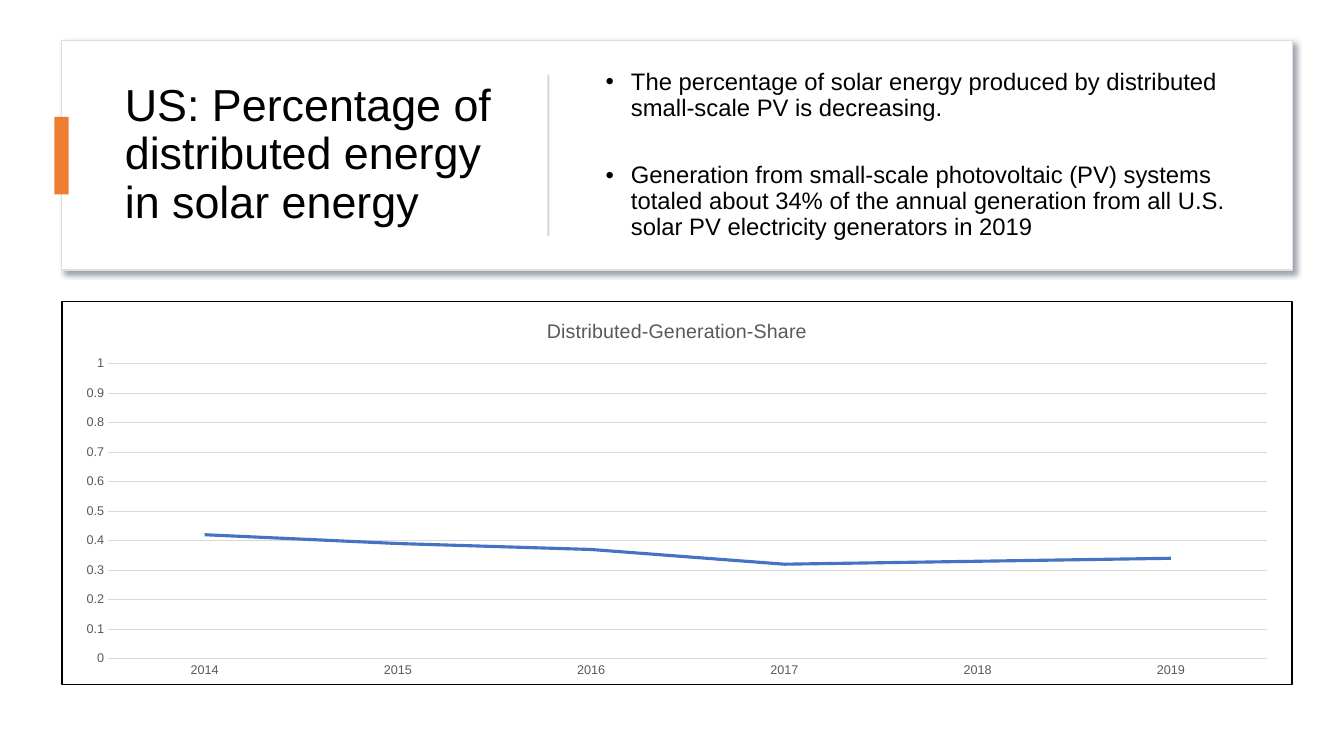
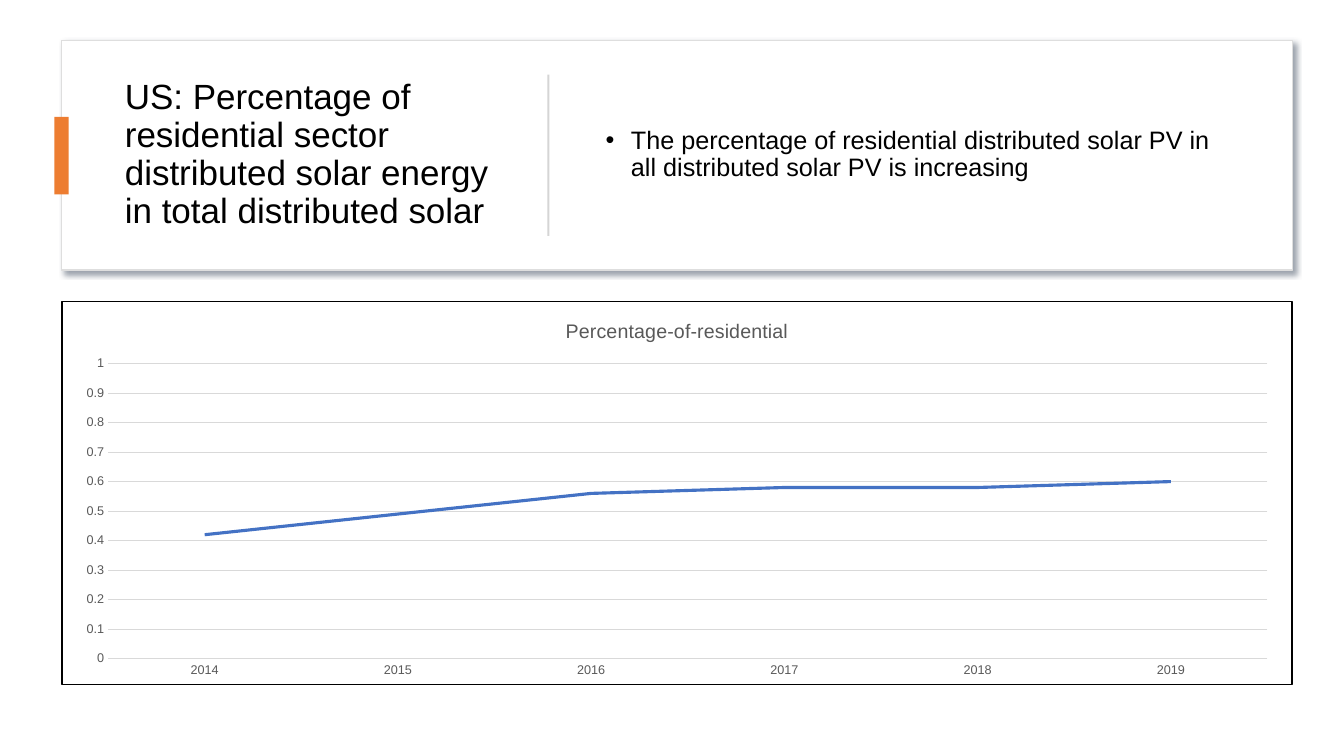
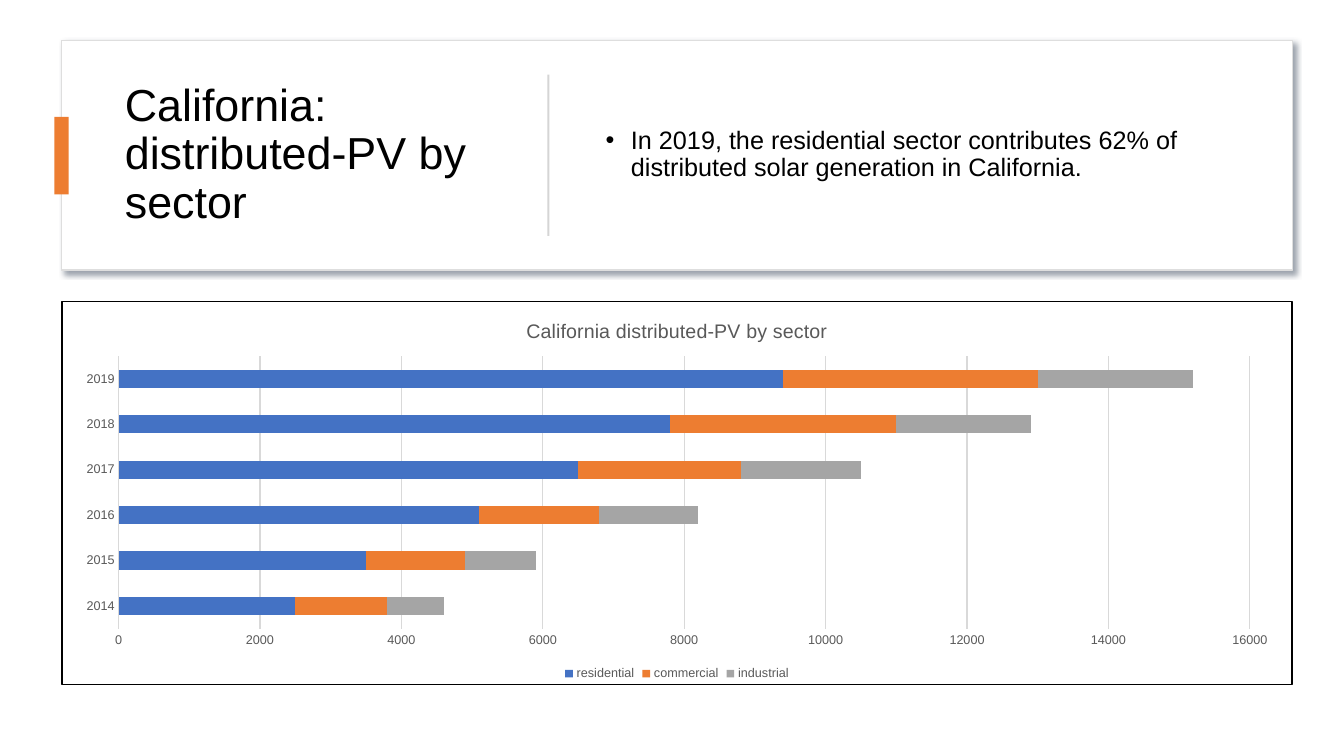
from dataclasses import dataclass

import pptx
import pptx.chart.data
import pptx.dml.color
import pptx.enum.chart
import pptx.enum.shapes
import pptx.enum.text
import pptx.oxml
import pptx.oxml.ns
import pptx.util

Inches, Pt = pptx.util.Inches, pptx.util.Pt
RGB = pptx.dml.color.RGBColor.from_string
ChartType = pptx.enum.chart.XL_CHART_TYPE
NS = pptx.oxml.ns.nsdecls("a", "c")


@dataclass(frozen=True)
class Theme:
    font: str = "Arial"
    text: str = "000000"
    muted: str = "595959"
    paper: str = "FFFFFF"
    card_line: str = "DEDEDE"
    shadow: str = "39475A"
    divider: str = "D5D5D5"
    grid: str = "D9D9D9"
    accent: str = "ED7D31"
    series: tuple = ("4472C4", "ED7D31", "A5A5A5")
    title_size: float = 32
    body_size: float = 18
    chart_title_size: float = 14
    chart_size: float = 10
    label_size: float = 9
    line_spacing: float = 0.9
    bullet_gap: float = 30


THEME = Theme()
HEADER_BOX = (0.61, 0.4, 12.21, 2.28)
CHART_BOX = (0.61, 2.99, 12.21, 3.81)
YEARS = ("2014", "2015", "2016", "2017", "2018", "2019")


def style_font(font, size, color):
    font.name, font.size = THEME.font, Pt(size)
    font.color.rgb = RGB(color)


def add_rect(slide, left, top, width, height, fill):
    rect = slide.shapes.add_shape(
        pptx.enum.shapes.MSO_SHAPE.RECTANGLE,
        Inches(left), Inches(top), Inches(width), Inches(height))
    rect.shadow.inherit = False
    rect.fill.solid()
    rect.fill.fore_color.rgb = RGB(fill)
    rect.line.fill.background()
    return rect


def add_text(slide, left, top, width, height, paragraphs, size, bulleted=False):
    box = slide.shapes.add_textbox(
        Inches(left), Inches(top), Inches(width), Inches(height))
    frame = box.text_frame
    frame.word_wrap = True
    frame.vertical_anchor = pptx.enum.text.MSO_ANCHOR.MIDDLE
    for index, text in enumerate(paragraphs):
        paragraph = frame.add_paragraph() if index else frame.paragraphs[0]
        paragraph.line_spacing = THEME.line_spacing
        if index:
            paragraph.space_before = Pt(THEME.bullet_gap)
        if bulleted:
            properties = paragraph._p.get_or_add_pPr()
            properties.set("marL", str(Inches(0.31)))
            properties.set("indent", str(Inches(-0.25)))
            for bullet in (
                    f'<a:buClr {NS}><a:srgbClr val="{THEME.text}"/></a:buClr>',
                    f'<a:buFont {NS} typeface="{THEME.font}"/>',
                    f'<a:buChar {NS} char="•"/>'):
                properties.append(pptx.oxml.parse_xml(bullet))
        run = paragraph.add_run()
        run.text = text
        style_font(run.font, size, THEME.text)


def add_header(slide, box, title, bullets, title_size, body_size):
    left, top, width, height = box
    # Card with soft shadow
    card = add_rect(slide, *box, THEME.paper)
    card.line.color.rgb = RGB(THEME.card_line)
    card.line.width = Pt(1)
    effects = card._element.spPr.find(pptx.oxml.ns.qn("a:effectLst"))
    effects.append(pptx.oxml.parse_xml(
        f'<a:outerShdw {NS} blurRad="{Pt(4)}" dist="{Pt(3)}" dir="2700000" '
        f'algn="tl" rotWithShape="0"><a:srgbClr val="{THEME.shadow}">'
        '<a:alpha val="50000"/></a:srgbClr></a:outerShdw>'))
    # Title, accent tab, divider and bullets
    text_top, text_height = top + 0.24, height - 0.48
    add_text(slide, left + 0.53, text_top, 3.89, text_height, [title], title_size)
    add_rect(slide, left - 0.07, top + 0.76, 0.14, 0.77, THEME.accent)
    add_rect(slide, left + 4.82, top + 0.34, 0.02, 1.6, THEME.divider)
    add_text(slide, left + 5.24, text_top, 6.56, text_height, bullets, body_size,
             bulleted=True)


def add_chart_panel(slide, box, kind, title, series):
    data = pptx.chart.data.CategoryChartData()
    data.categories = YEARS
    for name, values in series.items():
        data.add_series(name, values)
    chart = slide.shapes.add_chart(kind, *map(Inches, box), data).chart
    style_font(chart.font, THEME.chart_size, THEME.text)

    # Black frame with square corners
    space = chart._chartSpace
    space.find(pptx.oxml.ns.qn("c:chart")).addnext(pptx.oxml.parse_xml(
        f'<c:spPr {NS}><a:noFill/><a:ln w="{Pt(0.75)}"><a:solidFill>'
        f'<a:srgbClr val="{THEME.text}"/></a:solidFill></a:ln></c:spPr>'))
    if space.find(pptx.oxml.ns.qn("c:roundedCorners")) is None:
        space.find(pptx.oxml.ns.qn("c:date1904")).addnext(
            pptx.oxml.parse_xml(f'<c:roundedCorners {NS} val="0"/>'))

    # Title
    chart.has_title = True
    chart.chart_title.include_in_layout = False
    title_run = chart.chart_title.text_frame.paragraphs[0].add_run()
    title_run.text = title
    style_font(title_run.font, THEME.chart_title_size, THEME.muted)
    title_run.font.bold = False

    # Axes
    for axis in (chart.category_axis, chart.value_axis):
        axis.major_tick_mark = axis.minor_tick_mark = pptx.enum.chart.XL_TICK_MARK.NONE
        style_font(axis.tick_labels.font, THEME.label_size, THEME.muted)
    chart.value_axis.format.line.fill.background()
    chart.value_axis.has_major_gridlines = True
    for rule in (chart.category_axis, chart.value_axis.major_gridlines):
        rule.format.line.color.rgb = RGB(THEME.grid)
        rule.format.line.width = Pt(0.75)
    chart.plots[0].vary_by_categories = False
    chart.has_legend = False
    return chart


def add_share_chart(slide, box, title, series):
    chart = add_chart_panel(slide, box, ChartType.LINE, title, series)
    axis = chart.value_axis
    axis.minimum_scale, axis.maximum_scale, axis.major_unit = 0, 1, 0.1
    for share, color in zip(chart.plots[0].series, THEME.series):
        share.smooth = False
        share.format.line.color.rgb = RGB(color)
        share.format.line.width = Pt(2.25)


def add_sector_chart(slide, box, title, series):
    chart = add_chart_panel(slide, box, ChartType.BAR_STACKED, title, series)
    plot = chart.plots[0]
    plot.gap_width, plot.overlap = 150, 100
    for sector, color in zip(plot.series, THEME.series):
        sector.format.fill.solid()
        sector.format.fill.fore_color.rgb = RGB(color)
    chart.has_legend = True
    chart.legend.position = pptx.enum.chart.XL_LEGEND_POSITION.BOTTOM
    chart.legend.include_in_layout = False
    style_font(chart.legend.font, THEME.label_size, THEME.muted)


def add_chart_slide(deck, title, bullets, draw_chart, chart_title, series,
                    title_size=THEME.title_size, body_size=THEME.body_size):
    slide = deck.slides.add_slide(deck.slide_layouts[6])
    add_header(slide, HEADER_BOX, title, bullets, title_size, body_size)
    draw_chart(slide, CHART_BOX, chart_title, series)


def main():
    deck = pptx.Presentation()
    deck.slide_width, deck.slide_height = Inches(13.33), Inches(7.5)

    add_chart_slide(
        deck, "US: Percentage of distributed energy in solar energy",
        ["The percentage of solar energy produced by distributed small-scale PV "
         "is decreasing.",
         "Generation from small-scale photovoltaic (PV) systems totaled about 34% "
         "of the annual generation from all U.S. solar PV electricity generators "
         "in 2019"],
        add_share_chart, "Distributed-Generation-Share",
        {"Distributed-Generation-Share": (0.42, 0.39, 0.37, 0.32, 0.33, 0.34)},
        body_size=17)

    add_chart_slide(
        deck, "US: Percentage of residential sector distributed solar energy "
              "in total distributed solar",
        ["The percentage of residential distributed solar PV in all distributed "
         "solar PV is increasing"],
        add_share_chart, "Percentage-of-residential",
        {"Percentage-of-residential": (0.42, 0.49, 0.56, 0.58, 0.58, 0.6)},
        title_size=25)

    add_chart_slide(
        deck, "California: distributed-PV by sector",
        ["In 2019, the residential sector contributes 62% of distributed solar "
         "generation in California."],
        add_sector_chart, "California distributed-PV by sector",
        {"residential": (2500, 3500, 5100, 6500, 7800, 9400),
         "commercial": (1300, 1400, 1700, 2300, 3200, 3600),
         "industrial": (800, 1000, 1400, 1700, 1900, 2200)})

    deck.save("out.pptx")


if __name__ == "__main__":
    main()
